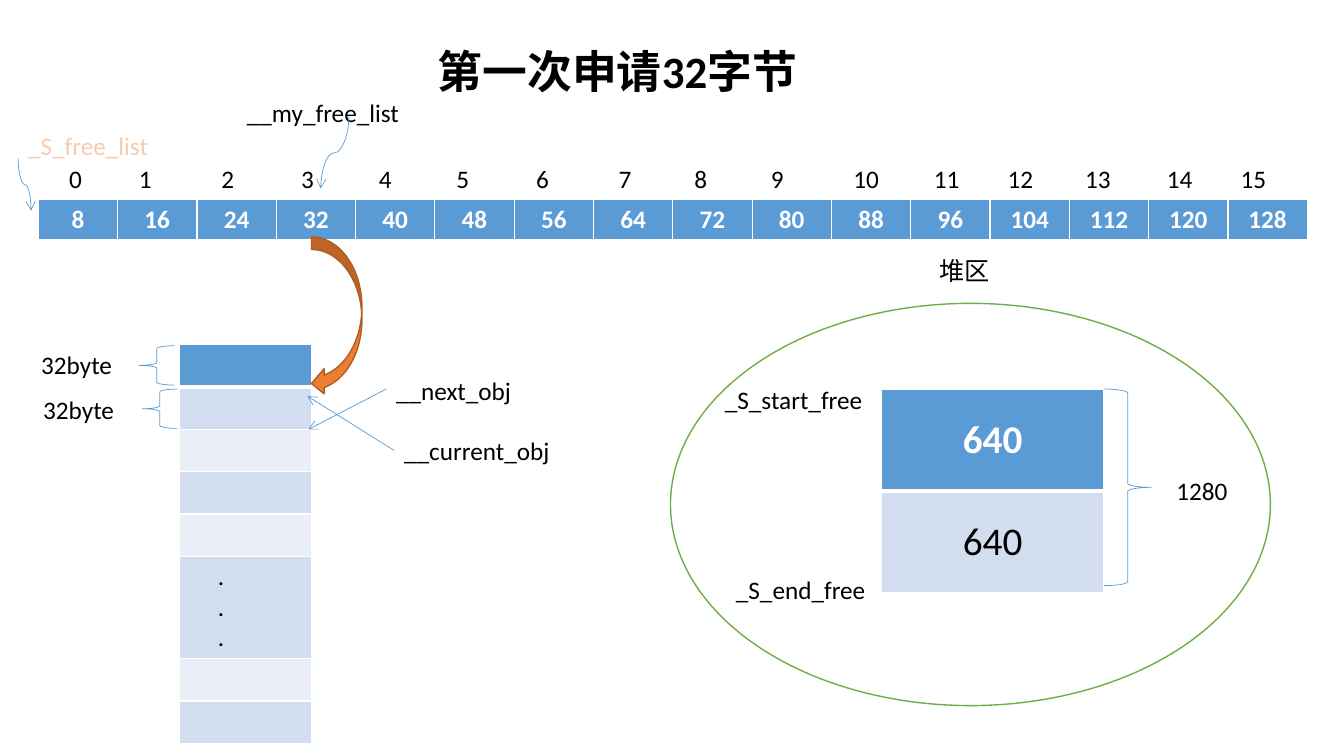
"""Build the slide on the first 32-byte allocation from the memory pool."""
from lxml import etree
from pptx import Presentation
from pptx.dml.color import RGBColor
from pptx.enum.shapes import MSO_CONNECTOR, MSO_SHAPE
from pptx.enum.text import MSO_ANCHOR, PP_ALIGN
from pptx.oxml.ns import qn
from pptx.util import Inches, Pt

BLUE, PALE, PALER = "5B9BD5", "D2DEEF", "EAEFF7"
WHITE, BLACK, GREEN, ORANGE, RUST, PEACH = "FFFFFF", "000000", "70AD47", "ED7D31", "AF5C24", "F8CBAD"

TITLE = "第一次申请32字节"
INDEX_CENTERS = [0.75, 1.44, 2.26, 3.05, 3.82, 4.59, 5.38, 6.2,
                 6.95, 7.71, 8.59, 9.39, 10.12, 10.89, 11.7, 12.43]
INDEX_WIDTH = 0.61
LABELS = [
    ("_S_free_list", 0.18, 1.24, 1.8, PEACH),
    ("__my_free_list", 2.35, 0.92, 2.02, BLACK),
    ("1280", 11.57, 4.67, 0.83, BLACK),
    ("_S_start_free", 7.09, 3.76, 1.62, BLACK),
    ("_S_end_free", 7.2, 5.65, 1.49, BLACK),
    ("32byte", 0.31, 3.42, 0.95, BLACK),
    ("32byte", 0.33, 3.86, 0.95, BLACK),
    ("__next_obj", 3.83, 3.67, 2.57, BLACK),
    ("__current_obj", 3.91, 4.27, 2.03, BLACK),
]
BRACES = [
    (MSO_SHAPE.RIGHT_BRACE, 10.95, 3.86, 0.47, 1.95),
    (MSO_SHAPE.LEFT_BRACE, 1.38, 3.43, 0.35, 0.39),
    (MSO_SHAPE.LEFT_BRACE, 1.41, 3.86, 0.35, 0.39),
]
CURVED_ARROWS = [((0.18, 1.57), (0.31, 2.09)), ((3.46, 1.16), (3.18, 1.87))]
STRAIGHT_ARROWS = [((3.83, 3.86), (3.06, 4.26)), ((3.91, 4.47), (3.05, 3.93))]
SIZE_CLASSES = [[str(8 * (i + 1)) for i in range(16)]]
HEAP_HALVES = [["640"], ["640"]]
BLOCKS = [[""], [""], [""], [""], [""], [".\n.\n."], [""], [""]]
BLOCK_HEIGHTS = [0.42] * 5 + [1.0] + [0.42] * 2


def rgb(color):
    return RGBColor.from_string(color)


def style_text(frame, size=18, color=BLACK, bold=False, align=PP_ALIGN.LEFT):
    for paragraph in frame.paragraphs:
        paragraph.alignment = align
        font = paragraph.font
        font.name, font.size, font.bold = "Calibri", Pt(size), bold
        font.color.rgb = rgb(color)


def add_label(text, left, top, width, color=BLACK, align=PP_ALIGN.LEFT):
    frame = slide.shapes.add_textbox(*map(Inches, (left, top, width, 0.4))).text_frame
    frame.word_wrap = True
    frame.text = text
    style_text(frame, color=color, align=align)


def add_outline(kind, box, line, width, fill=None):
    shape = slide.shapes.add_shape(kind, *map(Inches, box))
    shape.shadow.inherit = False
    if fill:
        shape.fill.solid()
        shape.fill.fore_color.rgb = rgb(fill)
    else:
        shape.fill.background()
    shape.line.color.rgb = rgb(line)
    shape.line.width = Pt(width)


def add_arrow(kind, start, end):
    arrow = slide.shapes.add_connector(kind, *map(Inches, start + end))
    arrow.line.color.rgb = rgb(BLUE)
    arrow.line.width = Pt(0.5)
    properties = arrow._element.spPr
    etree.SubElement(properties.find(qn("a:ln")), qn("a:tailEnd"), type="arrow")
    etree.SubElement(properties, qn("a:effectLst"))
    return arrow


def add_vertical_curve(start, end):
    """Draw a curve that leaves and arrives vertically, by a quarter turn."""
    (x1, y1), (x2, y2) = start, end
    cx, cy = (x1 + x2) / 2, (y1 + y2) / 2
    half_x, half_y = (x2 - x1) / 2, (y2 - y1) / 2
    arrow = add_arrow(MSO_CONNECTOR.CURVE, (cx - half_y, cy + half_x), (cx + half_y, cy - half_x))
    arrow._element.spPr.find(qn("a:xfrm")).set("rot", str(90 * 60000))


def set_borders(cell, bottom):
    properties = cell._tc.get_or_add_tcPr()
    for index, (side, width) in enumerate((("L", 1), ("R", 1), ("T", 1), ("B", bottom))):
        line = etree.Element(qn("a:ln" + side), w=str(Pt(width)))
        fill = etree.SubElement(line, qn("a:solidFill"))
        etree.SubElement(fill, qn("a:srgbClr"), val=WHITE)
        properties.insert(index, line)


def add_grid(rows, left, top, width, heights, size=18, align=PP_ALIGN.CENTER, indent=0.1):
    table = slide.shapes.add_table(
        len(rows), len(rows[0]), *map(Inches, (left, top, width, sum(heights)))).table
    for column in table.columns:
        column.width = Inches(width / len(rows[0]))
    for r, (row, height) in enumerate(zip(rows, heights)):
        table.rows[r].height = Inches(height)
        header = r == 0
        for c, text in enumerate(row):
            cell = table.cell(r, c)
            cell.text = text
            cell.margin_left = Inches(indent)
            cell.vertical_anchor = MSO_ANCHOR.MIDDLE
            style_text(cell.text_frame, size, WHITE if header else BLACK, header, align)
            cell.fill.solid()
            cell.fill.fore_color.rgb = rgb(BLUE if header else PALE if r % 2 else PALER)
            set_borders(cell, 3 if header else 1)


prs = Presentation()
prs.slide_width, prs.slide_height = Inches(13.33), Inches(7.5)
slide = prs.slides.add_slide(prs.slide_layouts[5])

title = slide.shapes.title
title.left, title.top, title.width, title.height = map(Inches, (4.24, 0.38, 6.5, 0.64))
title.text_frame.text = TITLE
style_text(title.text_frame, 32, bold=True)

add_outline(MSO_SHAPE.OVAL, (6.65, 3.01, 5.95, 3.99), GREEN, 1, WHITE)
add_grid(SIZE_CLASSES, 0.38, 1.98, 12.59, [0.41])
add_grid(HEAP_HALVES, 8.74, 3.86, 2.21, [1.01, 1.01], size=28)
add_grid(BLOCKS, 1.78, 3.42, 1.31, BLOCK_HEIGHTS, align=PP_ALIGN.LEFT, indent=0.38)

for number, center in enumerate(INDEX_CENTERS):
    add_label(str(number), center - INDEX_WIDTH / 2, 1.57, INDEX_WIDTH, align=PP_ALIGN.CENTER)
add_label("堆区", 8.61, 2.48, 1.92, align=PP_ALIGN.CENTER)
for label in LABELS:
    add_label(*label)
for kind, *box in BRACES:
    add_outline(kind, box, BLUE, 0.5)
for ends in CURVED_ARROWS:
    add_vertical_curve(*ends)
add_outline(MSO_SHAPE.CURVED_LEFT_ARROW, (3.09, 2.35, 0.5, 1.58), RUST, 1, ORANGE)
for ends in STRAIGHT_ARROWS:
    add_arrow(MSO_CONNECTOR.STRAIGHT, *ends)

prs.save("out.pptx")
